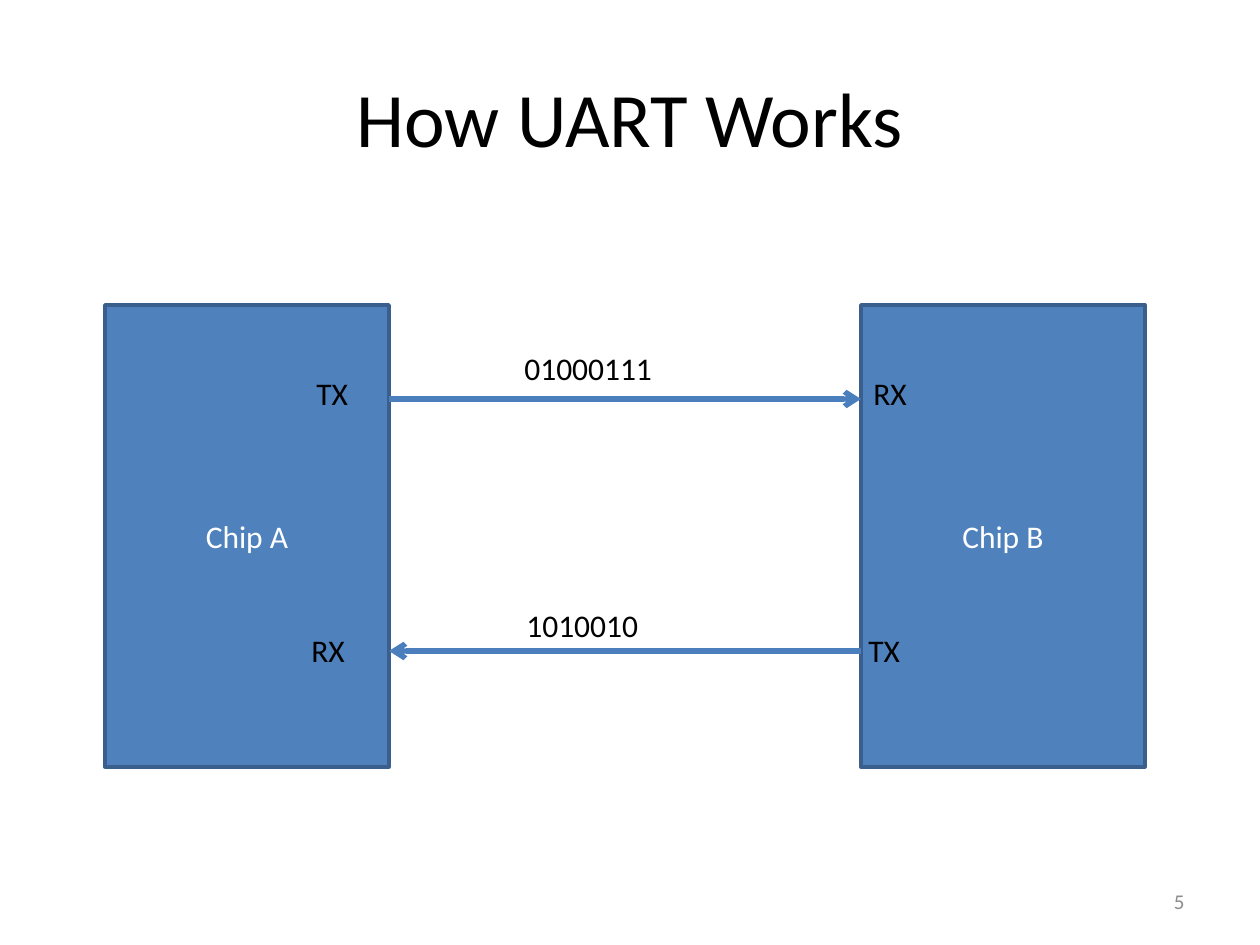
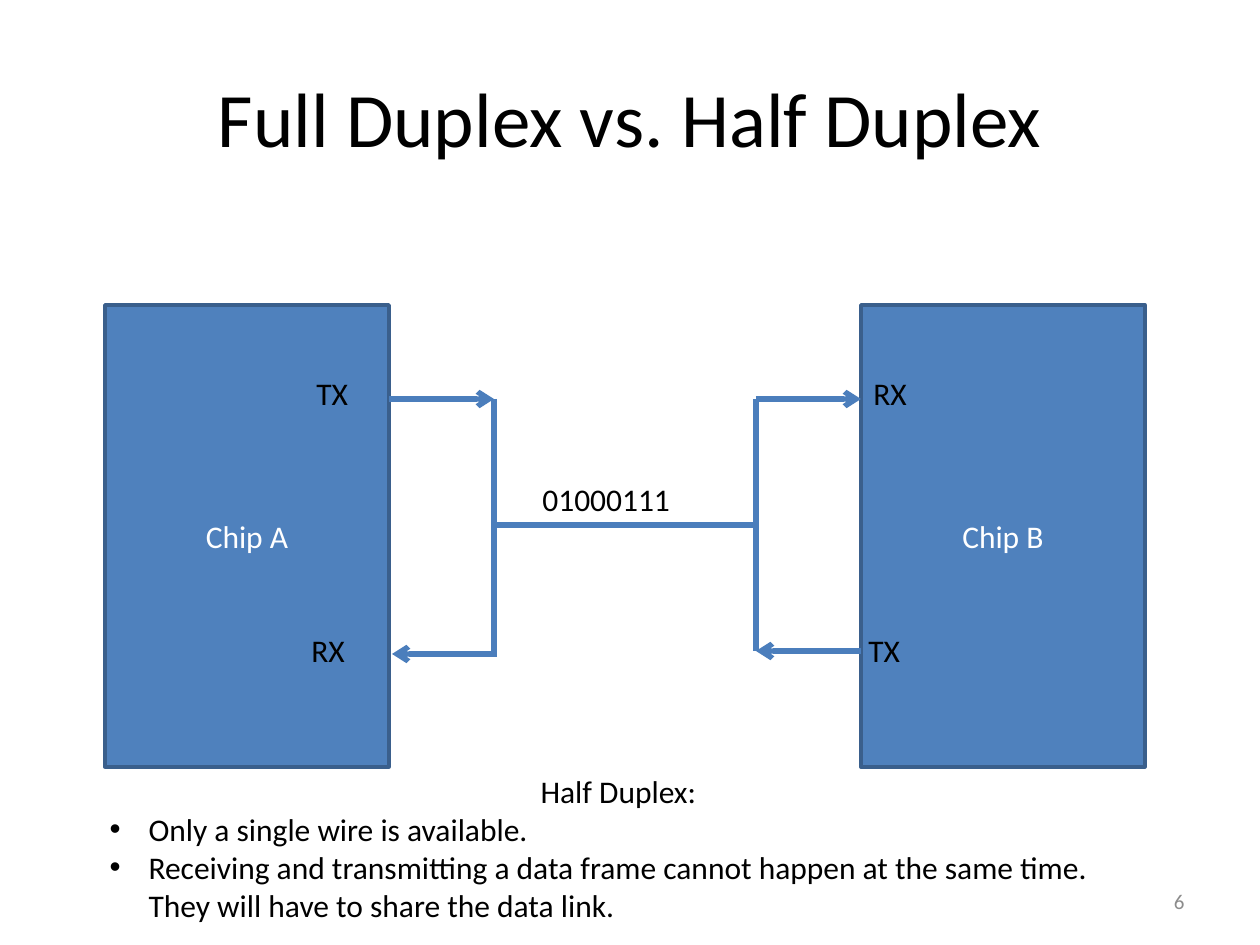
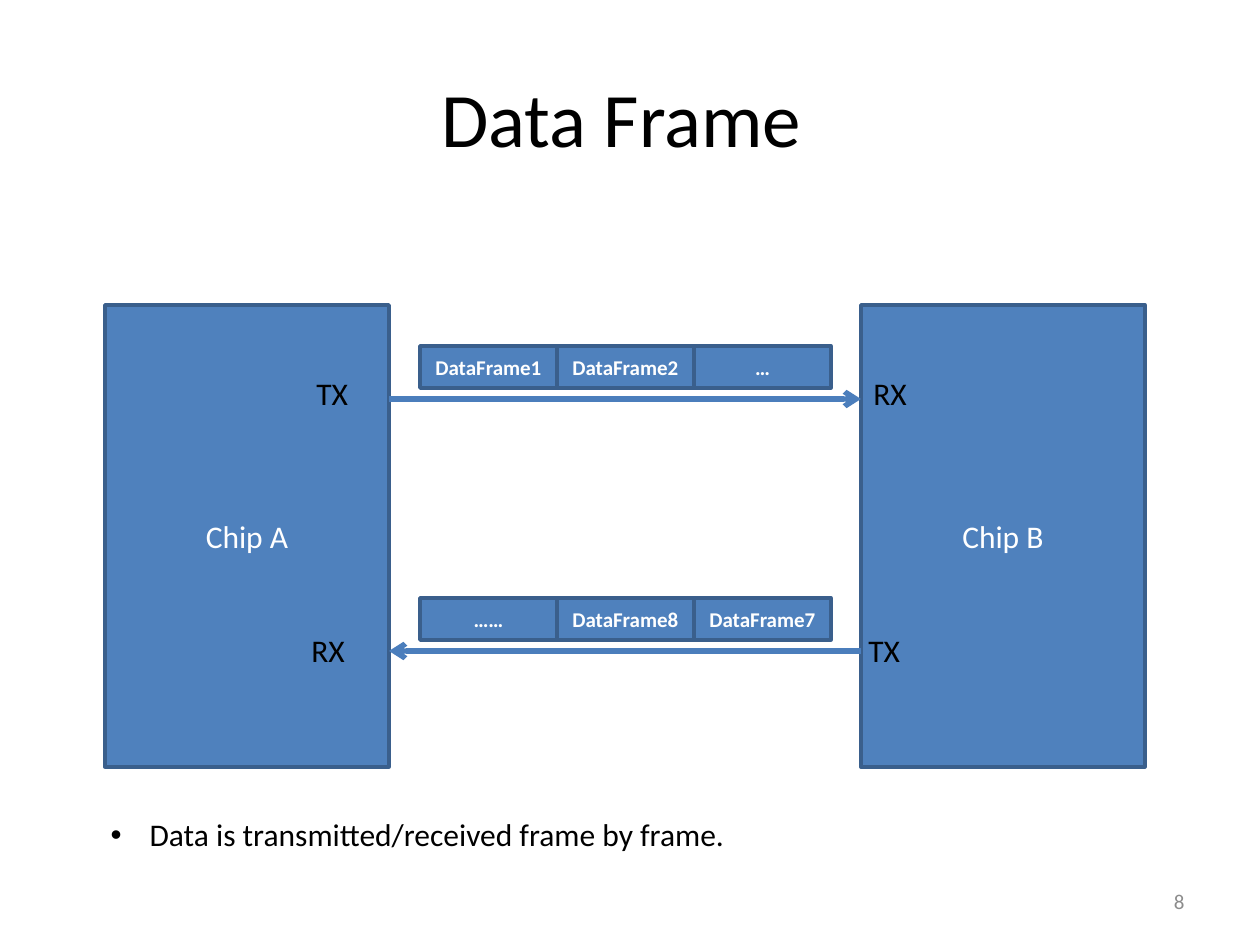
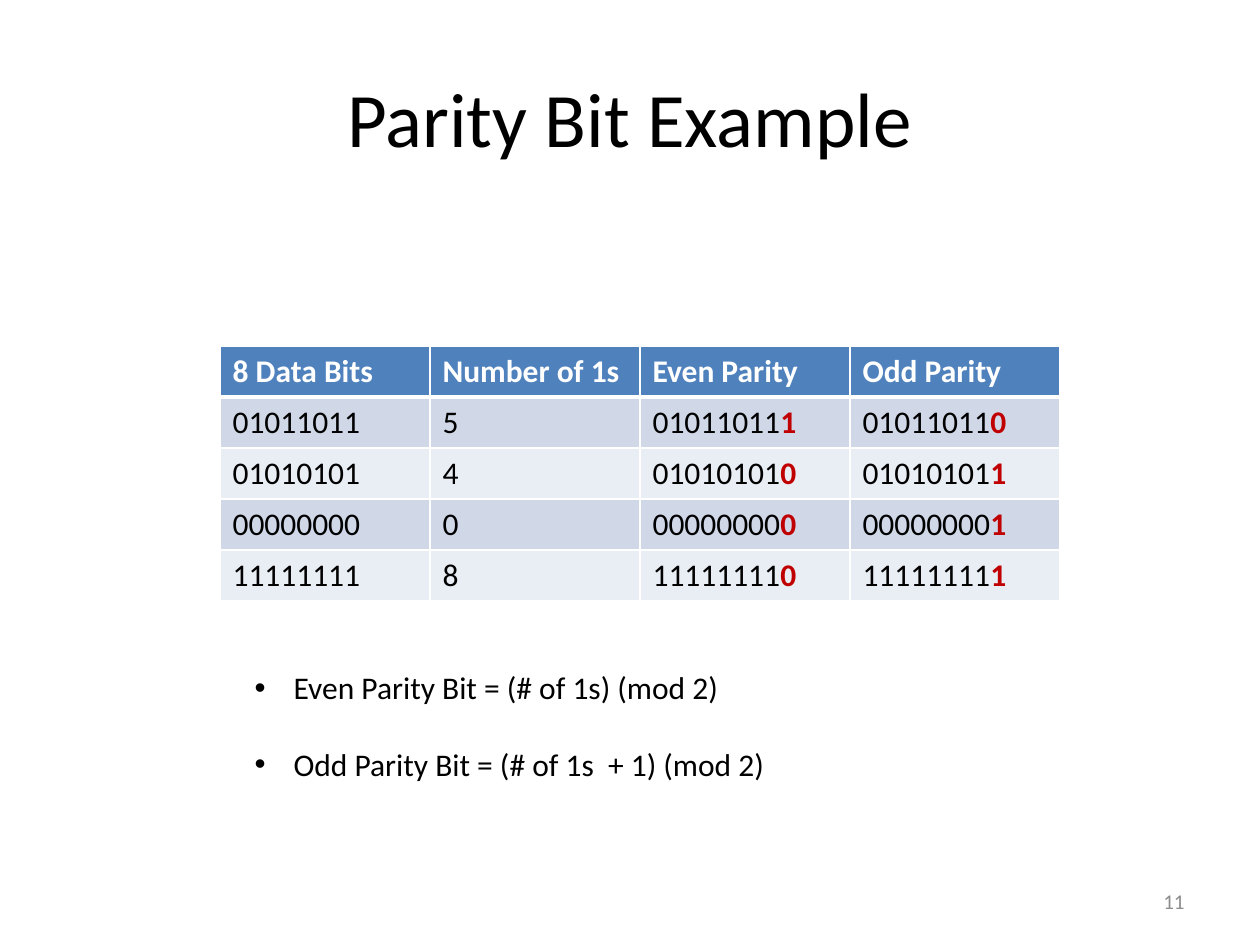
from pptx import Presentation
from pptx.dml.color import RGBColor
from pptx.enum.shapes import MSO_CONNECTOR, MSO_SHAPE
from pptx.enum.text import MSO_ANCHOR, MSO_AUTO_SIZE, PP_ALIGN
from pptx.oxml.ns import qn
from pptx.util import Pt
from lxml import etree

PX = 914400 // 126
RECT, STRAIGHT = MSO_SHAPE.RECTANGLE, MSO_CONNECTOR.STRAIGHT
MIDDLE, TOP = MSO_ANCHOR.MIDDLE, MSO_ANCHOR.TOP
LEFT, CENTER, RIGHT = PP_ALIGN.LEFT, PP_ALIGN.CENTER, PP_ALIGN.RIGHT
FIXED = MSO_AUTO_SIZE.NONE
TITLE_BODY, TITLE_ONLY = 1, 5

BLUE, EDGE, WIRE = "4F81BD", "3A5F8C", "4B7EBC"
BLACK, WHITE, GREY, RED = "000000", "FFFFFF", "8C8C8C", "C00000"
BANDS = ("D0D8E8", "E9EDF4")

HEAD = {"size": Pt(44), "color": BLACK}
TEXT = {"size": Pt(18), "color": BLACK}
CHIP = {"size": Pt(18), "color": WHITE}
FRAME = {"size": Pt(12), "color": WHITE, "bold": True}
NUMBER = {"size": Pt(12), "color": GREY}
TH = {"size": Pt(18), "color": WHITE, "bold": True}
TD = {"size": Pt(18), "color": BLACK, "bold": False}
PARITY = {"size": Pt(18), "color": RED, "bold": True}

CHIP_A, CHIP_B, CHIP_W = 105, 861, 284
EDGE_A = CHIP_A + CHIP_W
UPPER, LOWER = 399, 651
INDENT = 39


def rgb(code):
    """Turn a hex string into a colour."""
    return RGBColor.from_string(code)


def px(*sizes):
    """Turn picture pixels into EMU."""
    return [size * PX for size in sizes]


def add_run(para, text, look):
    """Add a run and give it the format values of a look."""
    run = para.add_run()
    run.text = text
    run.font.name = "Calibri"
    for key, value in look.items():
        if key == "color":
            run.font.color.rgb = rgb(value)
        else:
            setattr(run.font, key, value)


def write(shape, text, look, align=LEFT, anchor=TOP):
    """Write one paragraph into a shape."""
    frame = shape.text_frame
    frame.word_wrap = True
    frame.vertical_anchor = anchor
    para = frame.paragraphs[0]
    para.alignment = align
    add_run(para, text, look)


def place(shape, *box):
    """Move and size a placeholder."""
    for key, value in zip(("left", "top", "width", "height"), px(*box)):
        setattr(shape, key, value)


def add_label(slide, text, box, look=TEXT, **layout):
    """Add a text box."""
    write(slide.shapes.add_textbox(*px(*box)), text, look, **layout)


def add_box(slide, text, box, look):
    """Add a blue rectangle with centred text."""
    shape = slide.shapes.add_shape(RECT, *px(*box))
    shape.shadow.inherit = False
    shape.fill.solid()
    shape.fill.fore_color.rgb = rgb(BLUE)
    shape.line.color.rgb = rgb(EDGE)
    shape.line.width = Pt(2)
    write(shape, text, look, CENTER, MIDDLE)


def add_wire(slide, *ends, arrow=False):
    """Add a straight wire, with an arrowhead at its end if asked."""
    wire = slide.shapes.add_connector(STRAIGHT, *px(*ends))
    wire.line.color.rgb = rgb(WIRE)
    wire.line.width = Pt(3)
    props = wire._element.spPr
    if arrow:
        etree.SubElement(props.find(qn("a:ln")), qn("a:tailEnd"), type="arrow")
    etree.SubElement(props, qn("a:effectLst"))


def add_list(slide, box, items, intro=None, gap=0):
    """Fill the body with an optional centred intro and bulleted items."""
    body = slide.placeholders[1]
    place(body, *box)
    frame = body.text_frame
    frame.auto_size = FIXED
    lines = ([intro] if intro else []) + items
    for i, line in enumerate(lines):
        para = frame.paragraphs[0] if i == 0 else frame.add_paragraph()
        para.space_before = Pt(gap if i else 0)
        plain = line is intro
        para.alignment = CENTER if plain else LEFT
        add_run(para, line, TEXT)
        props = para._p.get_or_add_pPr()
        props.set("marL", str(0 if plain else INDENT * PX))
        props.set("indent", str(0 if plain else -INDENT * PX))
        if plain:
            etree.SubElement(props, qn("a:buNone"))
        else:
            etree.SubElement(props, qn("a:buFont"), typeface="Arial")
            etree.SubElement(props, qn("a:buChar"), char="•")


def add_borders(cell, **widths):
    """Give a cell white borders of the given point widths."""
    props = cell._tc.get_or_add_tcPr()
    for side in "LRTB":
        line = etree.SubElement(props, qn(f"a:ln{side}"), w=str(Pt(widths.get(side, 1))))
        fill = etree.SubElement(line, qn("a:solidFill"))
        etree.SubElement(fill, qn("a:srgbClr"), val=WHITE)


def add_cell(cell, runs, fill, **widths):
    """Fill a cell with runs, each a pair of text and look."""
    for text, look in runs:
        add_run(cell.text_frame.paragraphs[0], text, look)
    add_borders(cell, **widths)
    cell.fill.solid()
    cell.fill.fore_color.rgb = rgb(fill)


def add_table(slide, heads, words):
    """Add the table of data words with their parity bits."""
    rows = len(words) + 1
    box = px(220, 346, 210 * len(heads), 51 * rows)
    table = slide.shapes.add_table(rows, len(heads), *box).table
    for col, head in enumerate(heads):
        add_cell(table.cell(0, col), [(head, TH)], BLUE, B=3)
    for row, word in enumerate(words, 1):
        ones = word.count("1")
        cells = [[(word, TD)], [(str(ones), TD)]]
        cells += [[(word, TD), (str((ones + odd) % 2), PARITY)] for odd in (0, 1)]
        for col, runs in enumerate(cells):
            add_cell(table.cell(row, col), runs, BANDS[(row - 1) % 2],
                     T=3 if row == 1 else 1)


def add_slide(deck, title, number, layout=TITLE_BODY):
    """Add a slide with its title and number."""
    slide = deck.slides.add_slide(deck.slide_layouts[layout])
    place(slide.shapes.title, 63, 38, 1134, 158)
    write(slide.shapes.title, title, HEAD, CENTER, MIDDLE)
    add_label(slide, number, (903, 876, 294, 50), NUMBER, align=RIGHT, anchor=MIDDLE)
    return slide


def add_chips(slide):
    """Add both chips with their pin names."""
    for name, left in (("Chip A", CHIP_A), ("Chip B", CHIP_B)):
        add_box(slide, name, (left, 305, CHIP_W, 462), CHIP)
    pins = (("TX", 304, 368), ("RX", 299, 625), ("RX", 861, 368), ("TX", 856, 625))
    for pin, left, top in pins:
        add_label(slide, pin, (left, top, 84, 50))


def add_links(slide):
    """Add one wire for each direction."""
    add_wire(slide, EDGE_A, UPPER, CHIP_B, UPPER, arrow=True)
    add_wire(slide, CHIP_B, LOWER, EDGE_A, LOWER, arrow=True)


def add_shared(slide):
    """Add the single wire that both directions share."""
    near, far, mid = 494, 756, (UPPER + LOWER) // 2
    add_wire(slide, near, mid, far, mid)
    for x in (near, far):
        add_wire(slide, x, UPPER, x, LOWER)
    add_wire(slide, EDGE_A, UPPER, near, UPPER, arrow=True)
    add_wire(slide, far, UPPER, CHIP_B, UPPER, arrow=True)
    add_wire(slide, 497, 654, 392, 654, arrow=True)
    add_wire(slide, CHIP_B, LOWER, far, LOWER, arrow=True)


def add_frames(slide, top, names):
    """Add a row of data frames above a wire."""
    for i, name in enumerate(names):
        add_box(slide, name, (420 + 137 * i, top, 137, 42), FRAME)


def main():
    """Build the deck."""
    deck = Presentation()
    deck.slide_width, deck.slide_height = px(1260, 945)

    slide = add_slide(deck, "How UART Works", "5", TITLE_ONLY)
    add_chips(slide)
    add_links(slide)
    add_label(slide, "01000111", (512, 343, 284, 50))
    add_label(slide, "1010010", (514, 600, 284, 50))

    slide = add_slide(deck, "Full Duplex vs. Half Duplex", "6")
    add_chips(slide)
    add_shared(slide)
    add_label(slide, "01000111", (530, 474, 184, 50))
    add_list(slide, (97, 766, 1050, 165), [
        "Only a single wire is available. ",
        "Receiving and transmitting a data frame cannot happen at the same time. "
        "They will have to share the data link. ",
    ], intro="Half Duplex: ")

    slide = add_slide(deck, "Data Frame ", "8")
    add_chips(slide)
    add_links(slide)
    add_frames(slide, 346, ("DataFrame1", "DataFrame2", "…"))
    add_frames(slide, 598, ("……", "DataFrame8", "DataFrame7"))
    add_list(slide, (98, 809, 1050, 50),
             ["Data is transmitted/received frame by frame. "])

    slide = add_slide(deck, "Parity Bit Example", "11")
    add_table(slide, ("8 Data Bits", "Number of 1s", "Even Parity", "Odd Parity"),
              ("01011011", "01010101", "00000000", "11111111"))
    add_list(slide, (242, 662, 777, 165), [
        "Even Parity Bit = (# of 1s) (mod 2)",
        "Odd Parity Bit = (# of 1s  + 1) (mod 2)",
    ], gap=22)

    deck.save("out.pptx")


main()
